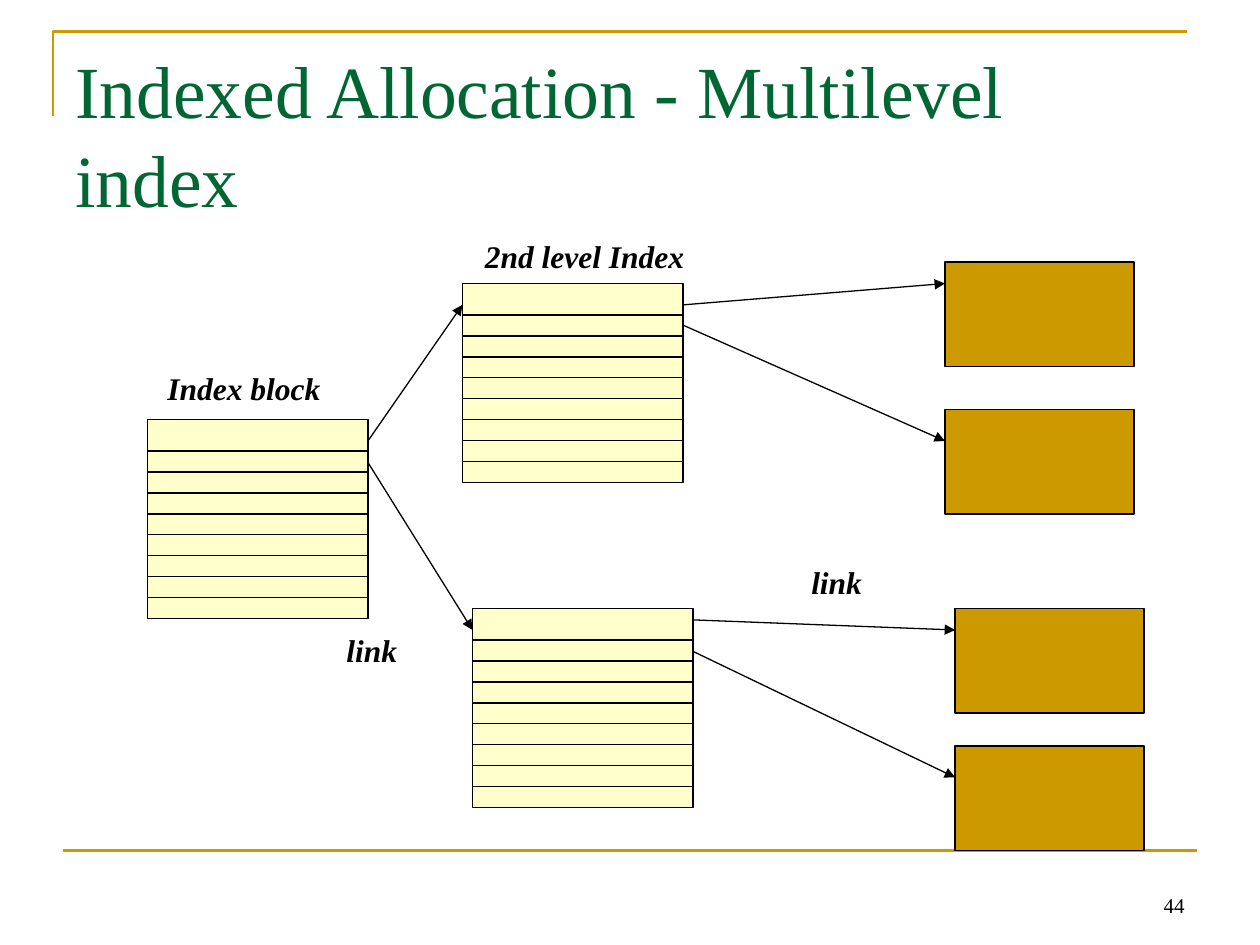
from lxml.etree import SubElement
from pptx import Presentation
from pptx.dml.color import RGBColor
from pptx.enum.shapes import MSO_CONNECTOR as Connector, MSO_SHAPE as Shape
from pptx.enum.text import MSO_ANCHOR as Anchor, MSO_AUTO_SIZE as AutoSize, PP_ALIGN as Align
from pptx.oxml.ns import qn
from pptx.util import Inches, Pt

FONT = "Times New Roman"
BLACK, GOLD, CREAM, GREEN = "000000", "CC9900", "FFFFCC", "006633"
INDEX_WIDTH, INDEX_HEIGHT = 1.75, 1.58
FIRST_ROW, ROW_COUNT = 0.25, 9


def paint(color_format, color):
    """Set a colour from a hex string."""
    color_format.rgb = RGBColor.from_string(color)


def add_line(slide, start, end, color=BLACK, width=0.75, arrow=False):
    """Draw a straight line, optionally with an arrowhead at its end."""
    line = slide.shapes.add_connector(
        Connector.STRAIGHT, *(Inches(value) for value in (*start, *end)))
    paint(line.line.color, color)
    line.line.width = Pt(width)
    if arrow:
        SubElement(line.line._get_or_add_ln(), qn("a:tailEnd"), type="triangle")
    SubElement(line._element.spPr, qn("a:effectLst"))


def add_block(slide, left, top, width, height, color):
    """Draw a filled rectangle with a thin black outline."""
    block = slide.shapes.add_shape(
        Shape.RECTANGLE, Inches(left), Inches(top), Inches(width), Inches(height))
    block.shadow.inherit = False
    block.fill.solid()
    paint(block.fill.fore_color, color)
    paint(block.line.color, BLACK)
    block.line.width = Pt(0.75)


def add_index(slide, left, top):
    """Draw an index block ruled into a taller first row and equal rows."""
    add_block(slide, left, top, INDEX_WIDTH, INDEX_HEIGHT, CREAM)
    pitch = (INDEX_HEIGHT - FIRST_ROW) / (ROW_COUNT - 1)
    for row in range(ROW_COUNT - 1):
        height = top + FIRST_ROW + row * pitch
        add_line(slide, (left, height), (left + INDEX_WIDTH, height))


def add_text(slide, text, left, top, width, height, size, color=BLACK,
             emphasis=False):
    """Add a one-paragraph text box and return its frame."""
    box = slide.shapes.add_textbox(
        Inches(left), Inches(top), Inches(width), Inches(height))
    frame = box.text_frame
    frame.word_wrap = True
    span = frame.paragraphs[0].add_run()
    span.text = text
    span.font.name = FONT
    span.font.size = Pt(size)
    span.font.bold = span.font.italic = emphasis
    paint(span.font.color, color)
    return frame


def add_label(slide, text, left, top, width):
    """Add a bold italic label that stays on one line."""
    frame = add_text(slide, text, left, top, width, 0.4, 18, emphasis=True)
    frame.word_wrap = False
    frame.auto_size = AutoSize.SHAPE_TO_FIT_TEXT


def add_frame(slide):
    """Draw the gold corner and the gold footer rule."""
    builder = slide.shapes.build_freeform(
        Inches(0.42), Inches(0.92), scale=1.0)
    builder.add_line_segments(
        [(Inches(0.42), Inches(0.25)), (Inches(9.42), Inches(0.25))], close=False)
    corner = builder.convert_to_shape()
    corner.shadow.inherit = False
    corner.fill.background()
    paint(corner.line.color, GOLD)
    corner.line.width = Pt(1.5)
    add_line(slide, (0.5, 6.75), (9.5, 6.75), GOLD, 1.5)


def main():
    """Build and save the slide."""
    deck = Presentation()
    deck.slide_width, deck.slide_height = Inches(10), Inches(7.5)
    slide = deck.slides.add_slide(deck.slide_layouts[6])
    add_frame(slide)

    title = add_text(slide, "Indexed Allocation - Multilevel index",
                     0.5, 0.3, 9, 1.25, 42, GREEN)
    title.margin_top = Inches(0.06)
    title.paragraphs[0].line_spacing = Pt(50.4)

    for left, top in ((1.17, 3.33), (3.67, 2.25), (3.75, 4.83)):
        add_index(slide, left, top)
    for left, top in ((7.5, 2.08), (7.5, 3.25), (7.58, 4.83), (7.58, 5.92)):
        add_block(slide, left, top, 1.5, 0.83, GOLD)

    links = (
        ((2.92, 3.5), (3.67, 2.42)),
        ((2.92, 3.67), (3.75, 5)),
        ((5.42, 2.42), (7.5, 2.25)),
        ((5.42, 2.58), (7.5, 3.5)),
        ((5.5, 4.92), (7.58, 5)),
        ((5.5, 5.17), (7.58, 6.17)),
    )
    for start, end in links:
        add_line(slide, start, end, arrow=True)

    labels = (
        ("Index block", 1.23, 2.88, 1.45),
        ("2nd level Index", 3.75, 1.83, 1.8),
        ("link", 2.65, 4.96, 0.62),
        ("link", 6.34, 4.42, 0.62),
    )
    for label in labels:
        add_label(slide, *label)

    number = add_text(slide, "44", 7.17, 6.83, 2.33, 0.5, 12)
    number.vertical_anchor = Anchor.BOTTOM
    number.paragraphs[0].alignment = Align.RIGHT
    deck.save("out.pptx")


if __name__ == "__main__":
    main()
